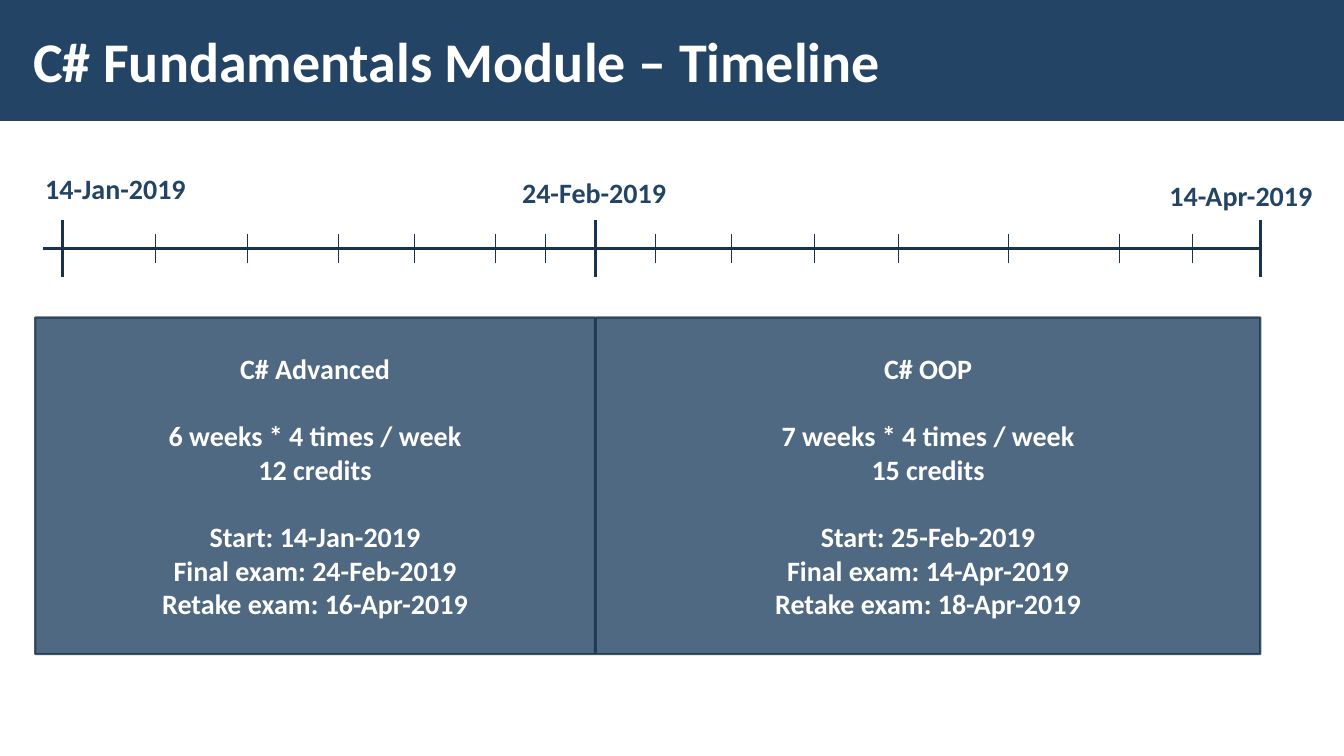
import pptx
import pptx.util
import pptx.dml.color
import pptx.enum.shapes
import pptx.enum.text
from dataclasses import dataclass
from lxml import etree
from pptx.oxml.ns import qn
from pptx.util import Inches


@dataclass(frozen=True)
class Theme:
    font: str = "Calibri"
    navy: str = "234465"
    dark: str = "1A334C"
    white: str = "FFFFFF"
    title_size: int = 40
    body_size: int = 20
    axis_width: float = 2.25
    tick_width: float = 0.5
    border_width: float = 1.5
    card_alpha: int = 80


THEME = Theme()
ALIGN = pptx.enum.text.PP_ALIGN
ANCHOR = pptx.enum.text.MSO_ANCHOR
AUTO = pptx.enum.text.MSO_AUTO_SIZE

DATES = [
    (0.35, 1.65, 1.61, "14-Jan-2019"),
    (5.08, 1.69, 1.64, "24-Feb-2019"),
    (11.5, 1.72, 1.65, "14-Apr-2019"),
]
MAJOR_TICKS = [0.62, 5.91, 12.5]
MINOR_TICKS = [1.54, 2.45, 3.36, 4.11, 4.91, 5.41, 6.5, 7.25,
               8.08, 8.91, 10, 11.1, 11.83]
COURSES = [
    (0.35, 5.55, [
        ["C# Advanced"],
        ["6 weeks * 4 times / week", "12 credits"],
        ["Start: 14-Jan-2019", "Final exam: 24-Feb-2019",
         "Retake exam: 16-Apr-2019"],
    ]),
    (5.91, 6.59, [
        ["C# OOP"],
        ["7 weeks * 4 times / week", "15 credits"],
        ["Start: 25-Feb-2019", "Final exam: 14-Apr-2019",
         "Retake exam: 18-Apr-2019"],
    ]),
]


def rgb(color):
    return pptx.dml.color.RGBColor.from_string(color)


def add_text(p, text, size=THEME.body_size, color=THEME.white,
             align=ALIGN.LEFT, before=0):
    p.alignment = align
    p.space_before = pptx.util.Pt(before)
    r = p.add_run()
    r.text = text
    r.font.name = THEME.font
    r.font.size = pptx.util.Pt(size)
    r.font.bold = True
    r.font.color.rgb = rgb(color)


def add_rect(s, x, y, w, h):
    sp = s.shapes.add_shape(pptx.enum.shapes.MSO_SHAPE.RECTANGLE,
                            Inches(x), Inches(y), Inches(w), Inches(h))
    sp.shadow.inherit = False
    sp.fill.solid()
    sp.fill.fore_color.rgb = rgb(THEME.navy)
    sp.line.fill.background()
    return sp


def set_alpha(sp, percent):
    for color in sp._element.spPr.iter(qn("a:srgbClr")):
        etree.SubElement(color, qn("a:alpha")).set("val", str(percent * 1000))


def add_line(s, x1, y1, x2, y2, width):
    line = s.shapes.add_connector(pptx.enum.shapes.MSO_CONNECTOR.STRAIGHT,
                                  Inches(x1), Inches(y1), Inches(x2), Inches(y2))
    line.line.color.rgb = rgb(THEME.dark)
    line.line.width = pptx.util.Pt(width)
    etree.SubElement(line._element.spPr, qn("a:effectLst"))


def add_header(s, x, y, w, h, title):
    add_rect(s, x, y, w, h)
    box = s.shapes.add_textbox(Inches(x + 0.21), Inches(y + 0.11),
                               Inches(10.39), Inches(0.97))
    tf = box.text_frame
    tf.word_wrap = True
    tf.vertical_anchor = ANCHOR.MIDDLE
    tf.margin_left = tf.margin_right = Inches(0.12)
    tf.margin_top = tf.margin_bottom = Inches(0.04)
    add_text(tf.paragraphs[0], title, size=THEME.title_size)


def add_date(s, x, y, w, h, date):
    tf = s.shapes.add_textbox(Inches(x), Inches(y), Inches(w), Inches(h)).text_frame
    tf.word_wrap = False
    tf.auto_size = AUTO.SHAPE_TO_FIT_TEXT
    add_text(tf.paragraphs[0], date, color=THEME.navy)


def add_timeline(s, x, y, w, h):
    middle = y + h / 2
    add_line(s, x, middle, x + w, middle, THEME.axis_width)
    for tick in MAJOR_TICKS:
        add_line(s, tick, y, tick, y + h, THEME.axis_width)
    for tick in MINOR_TICKS:
        add_line(s, tick, middle - h / 4, tick, middle + h / 4, THEME.tick_width)


def add_course(s, x, y, w, h, groups):
    sp = add_rect(s, x, y, w, h)
    sp.line.color.rgb = rgb(THEME.dark)
    sp.line.width = pptx.util.Pt(THEME.border_width)
    set_alpha(sp, THEME.card_alpha)
    tf = sp.text_frame
    tf.word_wrap = True
    tf.vertical_anchor = ANCHOR.MIDDLE
    p = tf.paragraphs[0]
    for g, group in enumerate(groups):
        for i, text in enumerate(group):
            if g or i:
                p = tf.add_paragraph()
            add_text(p, text, align=ALIGN.CENTER, before=24 if g and not i else 0)


def main():
    prs = pptx.Presentation()
    prs.slide_width, prs.slide_height = Inches(13.33), Inches(7.5)
    s = prs.slides.add_slide(prs.slide_layouts[6])
    add_header(s, 0, 0, 13.33, 1.2, "C# Fundamentals Module – Timeline")
    for x, y, w, date in DATES:
        add_date(s, x, y, w, 0.44, date)
    for x, w, groups in COURSES:
        add_course(s, x, 3.15, w, 3.34, groups)
    add_timeline(s, 0.43, 2.18, 12.07, 0.57)
    prs.save("out.pptx")


if __name__ == "__main__":
    main()
